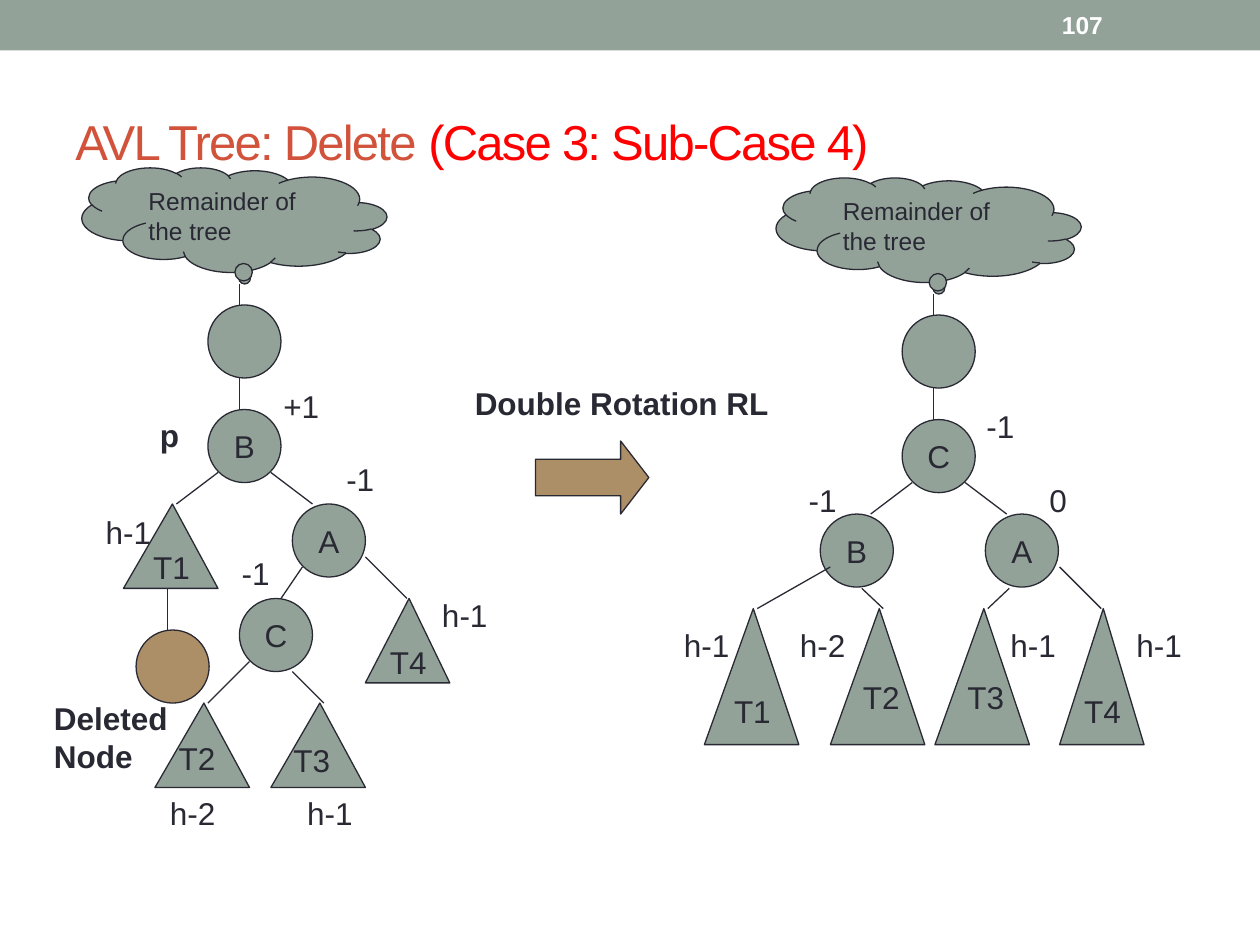
from dataclasses import dataclass

from lxml import etree
from pptx import Presentation
from pptx import util as u
from pptx.dml.color import RGBColor
from pptx.enum import shapes, text
from pptx.oxml.ns import qn

PX = 9144  # EMU per px, at 100 px to the inch
DIAMETER = 58
LABEL_HEIGHT = 43
APEX = 0.518
SHAPE = shapes.MSO_SHAPE


@dataclass(frozen=True)
class Theme:
    font: str = "Arial"
    ink: str = "292934"
    sage: str = "93A299"
    tan: str = "AD8F67"
    heading: str = "D2533C"
    accent: str = "FF0000"
    white: str = "FFFFFF"
    title_size: int = 28
    body_size: int = 18
    small_size: int = 14
    line_width: float = 0.75


@dataclass(frozen=True)
class Node:
    x: int
    y: int
    name: str = ""
    fill: str = Theme.sage


@dataclass(frozen=True)
class Subtree:
    x: int
    y: int
    w: int
    h: int
    name: str = ""


@dataclass(frozen=True)
class Edge:
    x1: int
    y1: int
    x2: int
    y2: int


@dataclass(frozen=True)
class Label:
    x: int
    y: int
    w: int
    words: str
    bold: bool = False


@dataclass(frozen=True)
class Tree:
    x: int
    y: int
    top: str
    nodes: list[Node]
    subtrees: list[Subtree]
    edges: list[Edge]
    labels: list[Label]


def write(frame, words: str, *, size: int = Theme.body_size, color: str = Theme.ink,
          bold: bool = False, wrap: bool = False, align=None, anchor=None,
          grow: bool = False, spacing: int = 0, tail: str = "",
          tail_color: str = Theme.accent) -> None:
    """Fill a text frame, one paragraph a line; tail follows in its own colour."""
    frame.word_wrap = wrap
    if grow:
        frame.auto_size = text.MSO_AUTO_SIZE.SHAPE_TO_FIT_TEXT
    if anchor is not None:
        frame.vertical_anchor = anchor
    for i, line in enumerate(words.split("\n")):
        paragraph = frame.add_paragraph() if i else frame.paragraphs[0]
        paragraph.alignment = align
        for part, shade in ((line, color), (tail, tail_color)):
            if not part:
                continue
            run = paragraph.add_run()
            run.text = part
            run.font.name, run.font.size, run.font.bold = Theme.font, u.Pt(size), bold
            run.font.color.rgb = RGBColor.from_string(shade)
            if spacing:
                run.font._element.set("spc", str(spacing))


def add_text(slide, x: int, y: int, w: int, h: int, words: str, **style) -> None:
    box = slide.shapes.add_textbox(x * PX, y * PX, w * PX, h * PX)
    write(box.text_frame, words, **style)


def add_figure(slide, kind, x: int, y: int, w: int, h: int, *, fill: str = Theme.sage,
               name: str = "", adjust: tuple = (), outlined: bool = True):
    figure = slide.shapes.add_shape(kind, x * PX, y * PX, w * PX, h * PX)
    figure.shadow.inherit = False
    figure.fill.solid()
    figure.fill.fore_color.rgb = RGBColor.from_string(fill)
    if outlined:
        figure.line.color.rgb = RGBColor.from_string(Theme.ink)
        figure.line.width = u.Pt(Theme.line_width)
    else:
        figure.line.fill.background()
    for i, value in enumerate(adjust):
        figure.adjustments[i] = value
    if name:
        write(figure.text_frame, name, align=text.PP_ALIGN.CENTER,
              anchor=text.MSO_ANCHOR.MIDDLE)
    return figure


def add_node(slide, node: Node) -> None:
    add_figure(slide, SHAPE.OVAL, node.x, node.y, DIAMETER, DIAMETER,
               fill=node.fill, name=node.name)


def add_edge(slide, edge: Edge) -> None:
    line = slide.shapes.add_connector(shapes.MSO_CONNECTOR.STRAIGHT, edge.x1 * PX,
                                      edge.y1 * PX, edge.x2 * PX, edge.y2 * PX)
    line.line.color.rgb = RGBColor.from_string(Theme.ink)
    line.line.width = u.Pt(Theme.line_width)
    etree.SubElement(line._element.spPr, qn("a:effectLst"))


def add_tree(slide, tree: Tree) -> None:
    x, y = tree.x, tree.y
    # Cloud, parent and top node sit alike in both trees
    cloud = add_figure(slide, SHAPE.CLOUD_CALLOUT, x, y, 242, 83, adjust=(-0.034, 0.56))
    cloud._element.spPr.find(qn("a:xfrm")).set("flipH", "1")
    add_text(slide, x + 43, y + 10, 172, 57, "Remainder of\nthe tree",
             size=Theme.small_size, wrap=True, grow=True)
    stem = [Node(x + 100, y + 109), Node(x + 100, y + 192, tree.top)]
    stem_edges = [Edge(x + 125, y + 92, x + 125, y + 109),
                  Edge(x + 125, y + 167, x + 125, y + 192),
                  Edge(x + 150, y + 242, x + 183, y + 267),
                  Edge(x + 108, y + 242, x + 75, y + 267)]
    for node in stem + tree.nodes:
        add_node(slide, node)
    for sub in tree.subtrees:
        add_figure(slide, SHAPE.ISOSCELES_TRIANGLE, sub.x, sub.y, sub.w, sub.h,
                   name=sub.name, adjust=(APEX,))
    for edge in stem_edges + tree.edges:
        add_edge(slide, edge)
    for label in tree.labels:
        add_text(slide, label.x, label.y, label.w, LABEL_HEIGHT, label.words,
                 bold=label.bold, grow=True)


BEFORE = Tree(
    65, 133, "B",
    nodes=[Node(232, 400, "A"), Node(190, 475, "C"), Node(108, 500, fill=Theme.tan)],
    subtrees=[Subtree(98, 400, 75, 67, "T1"), Subtree(123, 558, 75, 67),
              Subtree(215, 558, 75, 67), Subtree(290, 475, 67, 67, "T4")],
    edges=[Edge(290, 442, 323, 475), Edge(240, 450, 223, 475), Edge(232, 533, 257, 558),
           Edge(198, 525, 165, 558), Edge(133, 467, 133, 500)],
    labels=[Label(117, 325, 36, "p", bold=True), Label(132, 582, 51, "T2"),
            Label(223, 583, 51, "T3"), Label(341, 468, 57, "h-1"),
            Label(234, 625, 57, "h-1"), Label(125, 625, 57, "h-2"),
            Label(74, 402, 57, "h-1"), Label(182, 435, 43, "-1"),
            Label(265, 360, 43, "-1"), Label(215, 302, 50, "+1")])

AFTER = Tree(
    616, 141, "C",
    nodes=[Node(651, 408, "B"), Node(782, 408, "A")],
    subtrees=[Subtree(559, 483, 75, 108, "T1"), Subtree(659, 483, 75, 108),
              Subtree(742, 483, 75, 108), Subtree(841, 483, 67, 108, "T4")],
    edges=[Edge(841, 450, 874, 483), Edge(801, 467, 784, 483),
           Edge(684, 467, 701, 483), Edge(659, 450, 601, 483)],
    labels=[Label(675, 533, 51, "T2"), Label(758, 533, 51, "T3"),
            Label(533, 492, 57, "h-1"), Label(625, 492, 57, "h-2"),
            Label(792, 492, 57, "h-1"), Label(892, 492, 57, "h-1"),
            Label(773, 318, 43, "-1"), Label(632, 377, 43, "-1"),
            Label(823, 377, 34, "0")])


def main() -> None:
    deck = Presentation()
    deck.slide_width, deck.slide_height = 1000 * PX, 750 * PX
    slide = deck.slides.add_slide(deck.slide_layouts[6])
    middle = text.MSO_ANCHOR.MIDDLE

    # Header band, title and page number
    add_figure(slide, SHAPE.RECTANGLE, 0, 0, 1000, 40, outlined=False)
    add_text(slide, 50, 58, 900, 108, "AVL Tree: Delete ", size=Theme.title_size,
             color=Theme.heading, tail="(Case 3: Sub-Case 4)", spacing=-100,
             wrap=True, anchor=middle)
    add_text(slide, 833, 2, 117, 36, "107", size=Theme.small_size, color=Theme.white,
             bold=True, wrap=True, anchor=middle)

    # Rotation step
    add_figure(slide, SHAPE.RIGHT_ARROW, 425, 350, 90, 58, fill=Theme.tan,
               adjust=(0.5, 0.386))
    add_text(slide, 367, 300, 256, 40, "Double Rotation RL", bold=True, grow=True)

    # Trees before and after the rotation
    add_text(slide, 33, 550, 116, 77, "Deleted\nNode", bold=True, grow=True)
    for tree in (BEFORE, AFTER):
        add_tree(slide, tree)

    deck.save("out.pptx")


if __name__ == "__main__":
    main()
